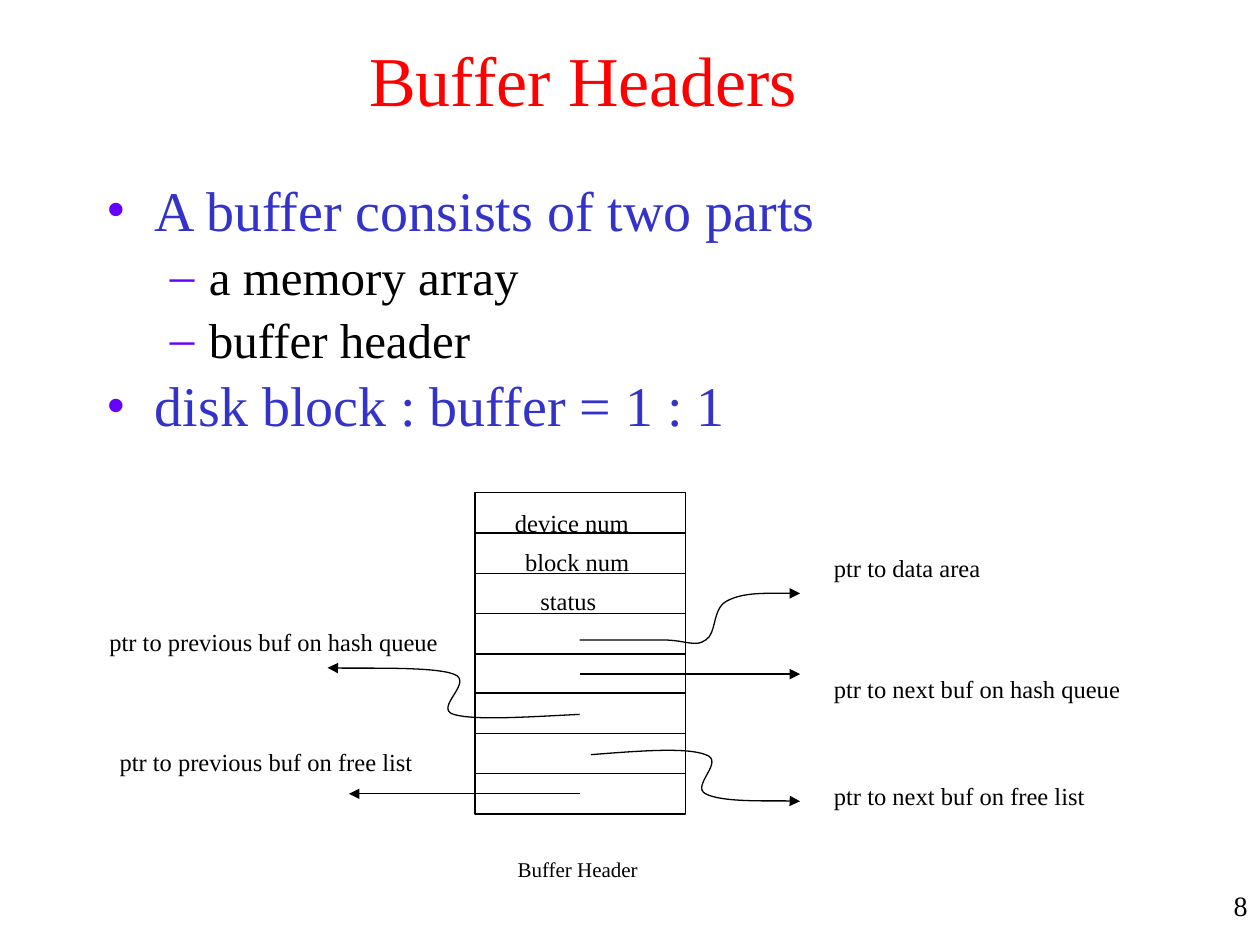
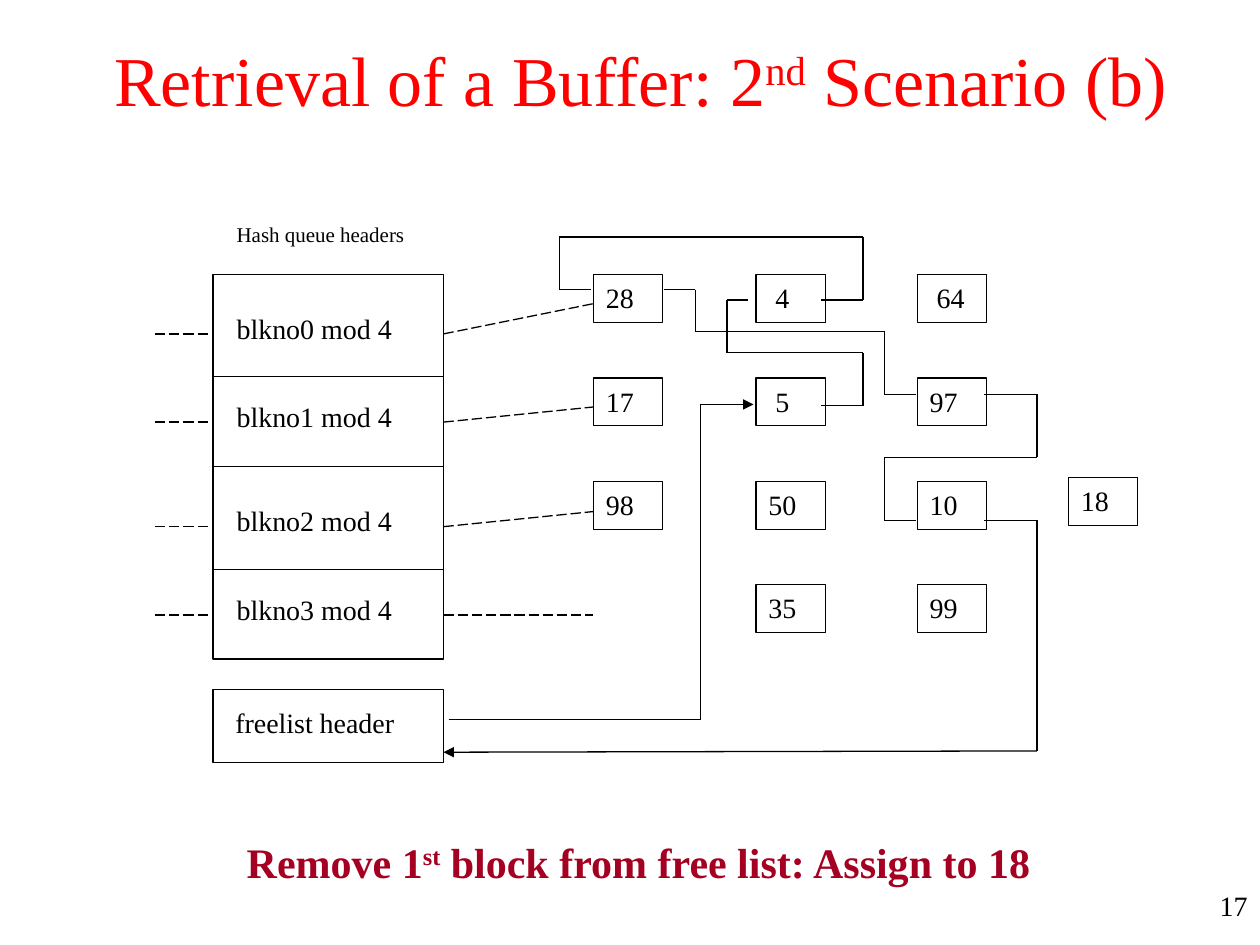
import pptx
import pptx.dml.color
import pptx.enum.dml
import pptx.enum.shapes
import pptx.enum.text
import pptx.oxml.ns
import pptx.util
from lxml import etree

RGBColor = pptx.dml.color.RGBColor
ALIGN = pptx.enum.text.PP_ALIGN
ANCHOR = pptx.enum.text.MSO_ANCHOR
qn = pptx.oxml.ns.qn

EMU_PER_PX = 9144  # 100 px to the inch
FONT = "Times New Roman"
BLACK = RGBColor(0x00, 0x00, 0x00)
RED = RGBColor(0xFF, 0x00, 0x00)
BLUE = RGBColor(0x33, 0x33, 0xCC)
VIOLET = RGBColor(0x66, 0x00, 0xFF)
CRIMSON = RGBColor(0xA5, 0x00, 0x21)

# Bullet levels: mark, left margin, hanging indent, size, colour
LEVELS = [("•", 38, -38, 32, BLUE), ("–", 81, -31, 28, BLACK)]


def px(length):
    return pptx.util.Emu(length * EMU_PER_PX)


class Painter:
    def __init__(self):
        self.deck = pptx.Presentation()
        self.deck.slide_width = px(1000)
        self.deck.slide_height = px(750)
        self.page = None

    def new_page(self, number, title_spans, title_width, title_inset=10):
        self.page = self.deck.slides.add_slide(self.deck.slide_layouts[6])
        self.text(953, 700, 47, 50, [number], 16, align=ALIGN.RIGHT)
        title = self.text(69, 0, title_width, 125, title_spans, 40, RED,
                          align=ALIGN.CENTER, anchor=ANCHOR.MIDDLE)
        title.margin_right = px(title_inset)

    def spans(self, para, spans, size, color, bold=False):
        """Add runs; a (text,) tuple is set as superscript."""
        for item in spans:
            raised = isinstance(item, tuple)
            span = para.add_run()
            span.text = item[0] if raised else item
            span.font.name = FONT
            span.font.size = pptx.util.Pt(size)
            span.font.bold = bold
            span.font.color.rgb = color
            if raised:
                span.font._element.set("baseline", "30000")

    def text(self, left, top, width, height, spans, size=14, color=BLACK, bold=False,
             align=ALIGN.LEFT, anchor=ANCHOR.TOP, wrap=True):
        box = self.page.shapes.add_textbox(px(left), px(top), px(width), px(height))
        frame = box.text_frame
        frame.word_wrap = wrap
        frame.vertical_anchor = anchor
        para = frame.paragraphs[0]
        para.alignment = align
        self.spans(para, spans, size, color, bold)
        return frame

    def bullets(self, left, top, width, height, items):
        box = self.page.shapes.add_textbox(px(left), px(top), px(width), px(height))
        frame = box.text_frame
        frame.word_wrap = True
        for index, (level, words) in enumerate(items):
            mark, margin, indent, size, color = LEVELS[level]
            para = frame.add_paragraph() if index else frame.paragraphs[0]
            props = para._p.get_or_add_pPr()
            props.set("marL", str(px(margin)))
            props.set("indent", str(px(indent)))
            tint = etree.SubElement(props, qn("a:buClr"))
            etree.SubElement(tint, qn("a:srgbClr")).set("val", str(VIOLET))
            etree.SubElement(props, qn("a:buFont")).set("typeface", FONT)
            etree.SubElement(props, qn("a:buChar")).set("char", mark)
            para.font.name = FONT
            para.font.size = pptx.util.Pt(size)
            para.level = level
            para.line_spacing = 0.9
            if index:
                para.space_before = pptx.util.Pt(5.6)
            self.spans(para, [words], size, color)

    def stroke(self, shape, arrow=False, dashed=False):
        shape.line.color.rgb = BLACK
        shape.line.width = pptx.util.Pt(0.75)
        if dashed:
            shape.line.dash_style = pptx.enum.dml.MSO_LINE.LONG_DASH
        if arrow:
            tail = etree.SubElement(shape.line._get_or_add_ln(), qn("a:tailEnd"))
            tail.set("type", "triangle")

    def rect(self, left, top, width, height, words=None):
        shape = self.page.shapes.add_shape(pptx.enum.shapes.MSO_SHAPE.RECTANGLE,
                                           px(left), px(top), px(width), px(height))
        shape.shadow.inherit = False
        shape.fill.background()
        self.stroke(shape)
        if words:
            frame = shape.text_frame
            frame.vertical_anchor = ANCHOR.TOP
            frame.paragraphs[0].alignment = ALIGN.LEFT
            self.spans(frame.paragraphs[0], [words], 16, BLACK)

    def route(self, *points, arrow=False, dashed=False):
        """Straight lines from point to point, the arrowhead on the last."""
        for index, (begin, end) in enumerate(zip(points, points[1:]), start=2):
            line = self.page.shapes.add_connector(
                pptx.enum.shapes.MSO_CONNECTOR.STRAIGHT, *map(px, begin + end))
            etree.SubElement(line._element.spPr, qn("a:effectLst"))
            self.stroke(line, arrow and index == len(points), dashed)

    def curve(self, start, *points):
        """An arrow of cubic curves: two control points and an end for each."""
        builder = self.page.shapes.build_freeform(*start, scale=EMU_PER_PX)
        builder.add_line_segments(points, close=False)
        shape = builder.convert_to_shape()
        # Join each three line segments into one cubic segment
        segments = list(shape._element.iter(qn("a:lnTo")))
        for first, second, third in zip(segments[::3], segments[1::3], segments[2::3]):
            cubic = etree.Element(qn("a:cubicBezTo"))
            first.addprevious(cubic)
            for segment in (first, second, third):
                cubic.append(segment[0])
                segment.getparent().remove(segment)
        shape.shadow.inherit = False
        shape.fill.background()
        self.stroke(shape, arrow=True)


def buffer_headers(painter):
    painter.new_page("8", ["Buffer Headers"], 850, title_inset=72)
    painter.bullets(75, 140, 842, 229, [
        (0, "A buffer consists of two parts"),
        (1, "a memory array"),
        (1, "buffer header"),
        (0, "disk block : buffer = 1 : 1"),
    ])

    # Header record with eight equal fields
    left, top, width, height, fields = 377, 391, 167, 255, 8
    painter.rect(left, top, width, height)
    for field in range(1, fields):
        y = top + round(height * field / fields)
        painter.route((left, y), (left + width, y))
    painter.text(401, 675, 117, 30, ["Buffer Header"], 12, wrap=False)

    # Field names and pointer labels
    for x, y, label_width, words in [
        (394, 398, 117, " device num"),
        (402, 429, 108, " block num"),
        (419, 460, 108, "status"),
        (652, 434, 208, "ptr to data area"),
        (652, 530, 267, "ptr to next buf on hash queue"),
        (652, 615, 242, "ptr to next buf on free list"),
        (77, 493, 283, "ptr to previous buf on hash queue"),
        (85, 588, 275, "ptr to previous buf on free list"),
    ]:
        painter.text(x, y, label_width, 33, [words])

    # Pointers
    painter.curve((460, 508),
                  (485, 508), (510, 508), (527, 508),
                  (544, 508), (552, 514), (560, 508),
                  (569, 503), (565, 483), (577, 477),
                  (590, 470), (612, 471), (635, 471))
    painter.curve((460, 567),
                  (419, 569), (377, 572), (360, 567),
                  (344, 562), (377, 541), (360, 535),
                  (344, 529), (276, 531), (260, 530))
    painter.curve((469, 599),
                  (507, 596), (545, 593), (560, 599),
                  (576, 604), (548, 624), (560, 630),
                  (573, 637), (624, 635), (635, 636))
    painter.route((460, 535), (635, 535), arrow=True)
    painter.route((460, 630), (277, 630), arrow=True)


def second_scenario(painter):
    painter.new_page("17", ["Retrieval of a Buffer: 2", ("nd",), " Scenario (b)"], 879)

    # Hash queue headers and the dashed queue links
    left, right, first_buffer = 169, 352, 471
    painter.text(178, 171, 153, 30, ["Hash queue headers"], 12, wrap=False)
    painter.rect(left, 218, right - left, 305)
    for y in (299, 370, 452):
        painter.route((left, y), (right, y))
    for queue, (y, link_end) in enumerate([(265, 241), (335, 323), (418, 406), (488, 488)]):
        painter.text(178, y - 23, 162, 37, [f"blkno{queue} mod 4"], 16)
        painter.route((123, y), (left, y), dashed=True)
        painter.route((right, y), (first_buffer, link_end), dashed=True)

    # Free list header
    painter.rect(left, 547, right - left, 58)
    painter.text(177, 555, 147, 37, ["freelist header"], 16, wrap=False)

    # Buffers, one row per hash queue
    queues = [("28", " 4", " 64"), ("17", " 5", "97"), ("98", "50", "10"), (None, "35", "99")]
    for row, blocks in enumerate(queues):
        for x, block in zip((first_buffer, 600, 728), blocks):
            if block:
                painter.rect(x, 218 + 82 * row, 55, 38, block)
    painter.rect(848, 379, 55, 38, "18")

    # Free list: header, 5, 4, 28, 97, 10 and back to the header
    painter.route((356, 571), (556, 571), (556, 321), (598, 321), arrow=True)
    painter.route((652, 322), (685, 322), (685, 280), (577, 280), (577, 238), (594, 238))
    painter.route((652, 238), (685, 238), (685, 188), (444, 188), (444, 230), (469, 230))
    painter.route((527, 230), (552, 230), (552, 263), (702, 263), (702, 313), (727, 313))
    painter.route((781, 313), (823, 313), (823, 363), (702, 363), (702, 413), (727, 413))
    painter.route((781, 413), (823, 413), (823, 596), (352, 597), arrow=True)

    painter.text(186, 659, 647, 50, ["Remove 1", ("st",), " block from free list: Assign to 18"],
                 24, CRIMSON, bold=True, wrap=False)


def main():
    painter = Painter()
    buffer_headers(painter)
    second_scenario(painter)
    painter.deck.save("out.pptx")


if __name__ == "__main__":
    main()
